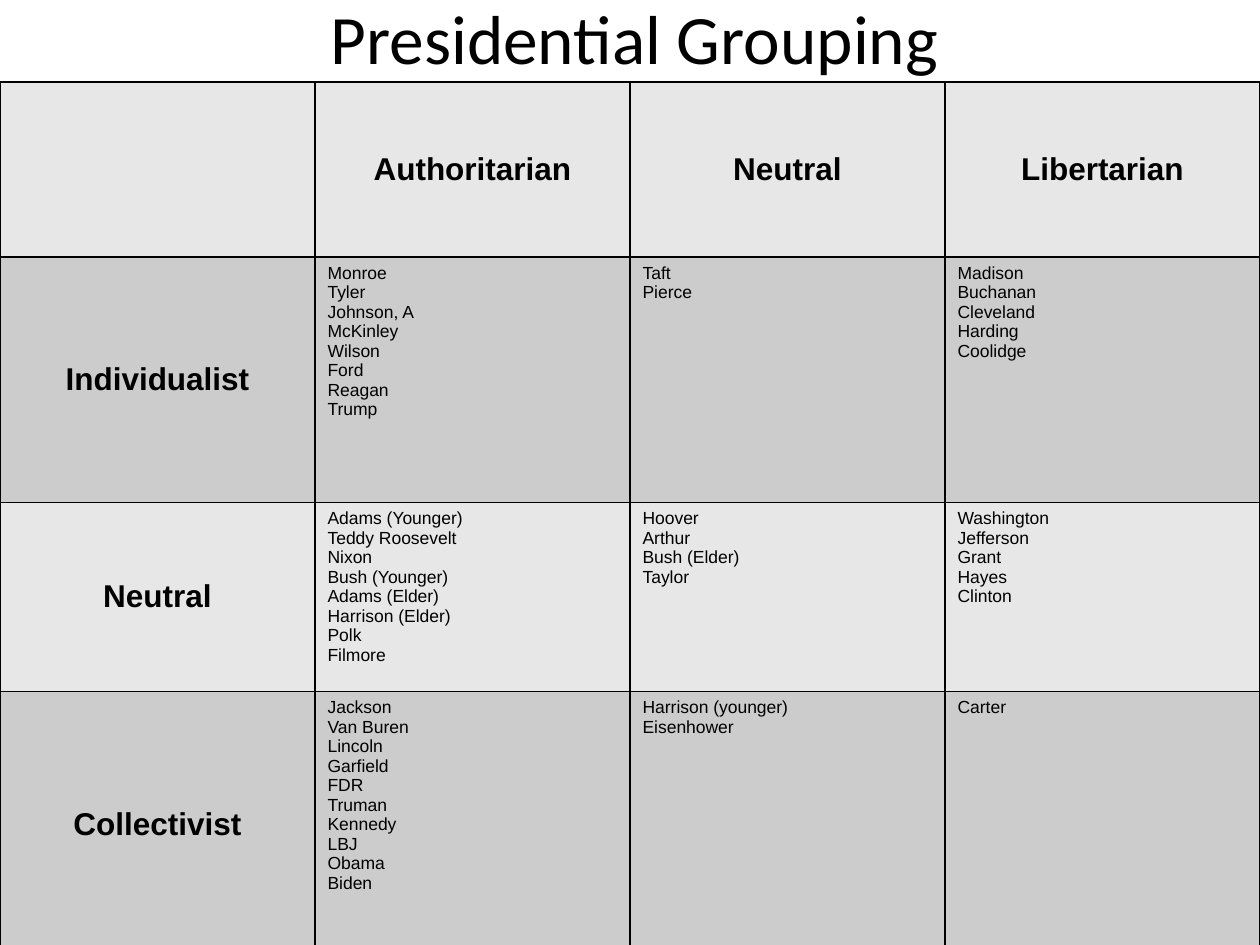
"""Build a slide that groups presidents in a grid of two political axes."""
from lxml.etree import SubElement
from pptx import Presentation
from pptx.dml.color import RGBColor
from pptx.enum.text import MSO_ANCHOR, MSO_AUTO_SIZE, PP_ALIGN
from pptx.oxml.ns import qn
from pptx.util import Cm, Pt

THEME = {
    "ink": "000000",
    "bands": ("E7E7E7", "CCCCCC"),
    "border": Pt(1),
    "title": {"name": "Calibri", "size": Pt(39.6), "bold": False},
    "heading": {"name": "Arial", "size": Pt(18), "bold": True},
    "names": {"name": "Arial", "size": Pt(10), "bold": False},
}
LEANINGS = ["Authoritarian", "Neutral", "Libertarian"]
GROUPS = {
    "Individualist": [
        ["Monroe", "Tyler", "Johnson, A", "McKinley", "Wilson", "Ford", "Reagan", "Trump"],
        ["Taft", "Pierce"],
        ["Madison", "Buchanan", "Cleveland", "Harding", "Coolidge"],
    ],
    "Neutral": [
        ["Adams (Younger)", "Teddy Roosevelt", "Nixon", "Bush (Younger)",
         "Adams (Elder)", "Harrison (Elder)", "Polk", "Filmore"],
        ["Hoover", "Arthur", "Bush (Elder)", "Taylor"],
        ["Washington", "Jefferson", "Grant", "Hayes", "Clinton"],
    ],
    "Collectivist": [
        ["Jackson", "Van Buren", "Lincoln", "Garfield", "FDR",
         "Truman", "Kennedy", "LBJ", "Obama", "Biden"],
        ["Harrison (younger)", "Eisenhower"],
        ["Carter"],
    ],
}
ROW_HEIGHTS = [Cm(3.53), Cm(4.95), Cm(3.81), Cm(5.38)]
COLUMN_WIDTH = Cm(6.35)


def write_lines(frame, lines, role, alignment):
    frame.text = "\n".join(lines)
    for line in frame.paragraphs:
        line.alignment = alignment
        for run in line.runs:
            for attribute, value in THEME[role].items():
                setattr(run.font, attribute, value)
            run.font.color.rgb = RGBColor.from_string(THEME["ink"])


def add_borders(cell):
    properties = cell._tc.get_or_add_tcPr()
    for position, side in enumerate(("lnL", "lnR", "lnT", "lnB")):
        border = properties.makeelement(qn(f"a:{side}"), {"w": str(THEME["border"])})
        ink = SubElement(SubElement(border, qn("a:solidFill")), qn("a:srgbClr"))
        ink.set("val", THEME["ink"])
        properties.insert(position, border)


presentation = Presentation()
presentation.slide_width, presentation.slide_height = Cm(25.4), Cm(19.05)
slide = presentation.slides.add_slide(presentation.slide_layouts[5])

title = slide.shapes.title
title_box = {"left": Cm(0), "top": Cm(0.05), "width": Cm(25.58), "height": Cm(1.6)}
for attribute, value in title_box.items():
    setattr(title, attribute, value)
write_lines(title.text_frame, ["Presidential Grouping"], "title", PP_ALIGN.CENTER)
title.text_frame.paragraphs[0].line_spacing = 0.9
title_format = {"vertical_anchor": MSO_ANCHOR.MIDDLE, "auto_size": MSO_AUTO_SIZE.NONE}
for attribute, value in title_format.items():
    setattr(title.text_frame, attribute, value)

grid = [[[]] + [[leaning] for leaning in LEANINGS]]
grid += [[[group]] + members for group, members in GROUPS.items()]
grouping = slide.shapes.add_table(
    len(grid), len(grid[0]), Cm(0), Cm(1.65),
    COLUMN_WIDTH * len(grid[0]), sum(ROW_HEIGHTS)).table
for attribute in ("first_row", "horz_banding"):
    setattr(grouping, attribute, False)
for column in grouping.columns:
    column.width = COLUMN_WIDTH

for row_index, row in enumerate(grid):
    grouping.rows[row_index].height = ROW_HEIGHTS[row_index]
    for column_index, lines in enumerate(row):
        cell = grouping.cell(row_index, column_index)
        cell.fill.solid()
        cell.fill.fore_color.rgb = RGBColor.from_string(THEME["bands"][row_index % 2])
        add_borders(cell)
        if row_index == 0 or column_index == 0:
            cell.vertical_anchor = MSO_ANCHOR.MIDDLE
            write_lines(cell.text_frame, lines, "heading", PP_ALIGN.CENTER)
        else:
            write_lines(cell.text_frame, lines, "names", PP_ALIGN.LEFT)

presentation.save("out.pptx")
